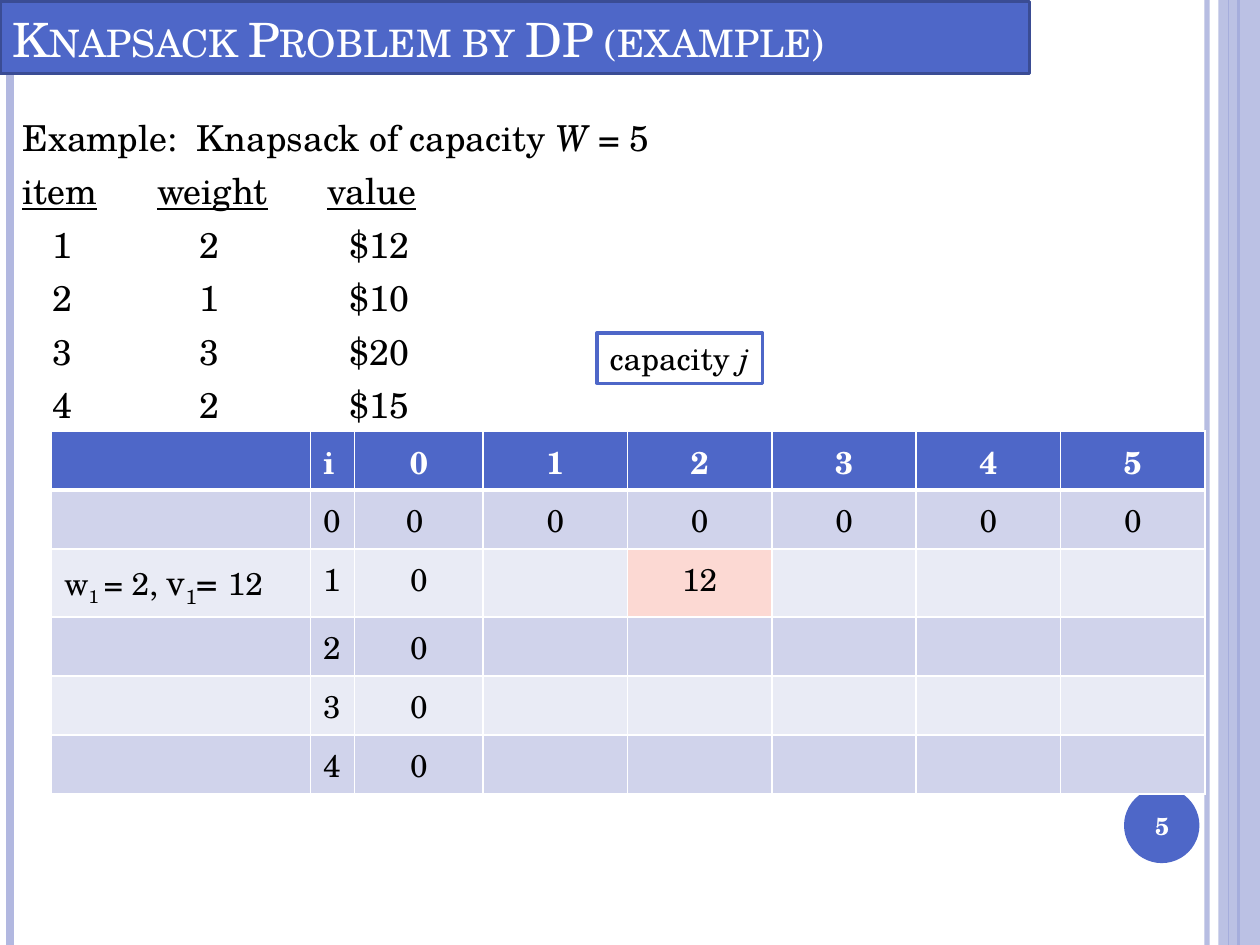
"""Build the knapsack dynamic programming example slide."""
from lxml.etree import SubElement
from pptx import Presentation
from pptx.dml.color import RGBColor
from pptx.enum.shapes import MSO_CONNECTOR, MSO_SHAPE
from pptx.enum.text import MSO_ANCHOR, MSO_AUTO_SIZE, PP_ALIGN
from pptx.oxml.ns import qn
from pptx.util import Cm, Pt

BLUE, PALE, WHITE, BLACK = "4E67C8", "B2B8E0", "FFFFFF", "000000"


def color(code):
    """Turn a hex string into a colour."""
    return RGBColor.from_string(code)


def style(run, size, code=BLACK, bold=False, italic=False):
    """Set the font of a run."""
    font = run.font
    font.name, font.size = "TeX Gyre Schola", Pt(size)
    font.bold, font.italic = bold, italic
    font.color.rgb = color(code)


deck = Presentation()
deck.slide_width, deck.slide_height = Cm(25.4), Cm(19.05)
slide = deck.slides.add_slide(deck.slide_layouts[5])
shapes = slide.shapes

bars = [(24.33, PALE, 3, 93), (0.2, PALE, 4.5, 100), (24.97, BLUE, 1.5, 100), (24.77, BLUE, 0.75, 100)]
for left, code, width, alpha in bars:
    bar = shapes.add_connector(MSO_CONNECTOR.STRAIGHT, Cm(left), 0, Cm(left), Cm(19.05))
    bar.line.color.rgb, bar.line.width = color(code), Pt(width)
    props = bar._element.spPr
    SubElement(props, qn("a:effectLst"))
    if alpha < 100:
        tint = props.find(".//" + qn("a:srgbClr"))
        SubElement(tint, qn("a:alpha"), val=str(alpha * 1000))

band = shapes.add_shape(MSO_SHAPE.RECTANGLE, Cm(24.56), 0, Cm(0.84), Cm(19.05))
disc = shapes.add_shape(MSO_SHAPE.OVAL, Cm(22.66), Cm(15.88), Cm(1.52), Cm(1.52))
for shape, code in [(band, PALE), (disc, BLUE)]:
    shape.shadow.inherit = False
    shape.fill.solid()
    shape.fill.fore_color.rgb = color(code)
    shape.line.fill.background()
tint = band._element.spPr.find(".//" + qn("a:srgbClr"))
SubElement(tint, qn("a:alpha"), val="87000")

body = shapes.add_textbox(Cm(0.2), Cm(2.21), Cm(18.85), Cm(5.72)).text_frame
body.word_wrap = True
first = body.paragraphs[0]
for text, slant in [("Example:  Knapsack of capacity ", False), ("W ", True), ("= 5", False)]:
    run = first.add_run()
    run.text = text
    style(run, 20.4, italic=slant)

items = ["item\tweight\tvalue\t", "\t1\t2\t$12", "\t2\t1\t$10", "\t3\t3\t$20", "\t4\t2\t$15"]
heads = [(2.72, "l"), (6.15, "l"), (10.54, "l")]
stops = [(0.8, "ctr"), (3.77, "ctr"), (6.6, "l")]
for row, text in enumerate(items):
    para = body.add_paragraph()
    tabs = SubElement(para._p.get_or_add_pPr(), qn("a:tabLst"))
    for place, side in stops if row else heads:
        SubElement(tabs, qn("a:tab"), pos=str(Cm(place)), algn=side)
    para.space_before = Pt(6)
    run = para.add_run()
    run.text = text
    style(run, 20.4)
    run.font.underline = row == 0

widths = [5.22, 0.89, 2.59] + [2.91] * 5
heights = [1.19, 1.19, 1.37, 1.19, 1.19, 1.19]
grid = [
    ["", "i", "0", "1", "2", "3", "4", "5"],
    ["", "0", "0 ", "0", "0", "0", "0", "0"],
    ["", "1", "0", "", "12", "", "", ""],
    ["", "2", "0", "", "", "", "", ""],
    ["", "3", "0", "", "", "", "", ""],
    ["", "4", "0", "", "", "", "", ""],
]
table = shapes.add_table(6, 8, Cm(1.04), Cm(8.69), Cm(sum(widths)), Cm(sum(heights))).table
for column, width in zip(table.columns, widths):
    column.width = Cm(width)
for row, texts in enumerate(grid):
    table.rows[row].height = Cm(heights[row])
    for col, text in enumerate(texts):
        cell = table.cell(row, col)
        props = cell._tc.get_or_add_tcPr()
        for side in ("L", "R", "T", "B"):
            thick = (row, side) in [(0, "B"), (1, "T")]
            edge = SubElement(props, qn("a:ln" + side), w=str(Pt(3 if thick else 1)))
            paint = SubElement(edge, qn("a:solidFill"))
            SubElement(paint, qn("a:srgbClr"), val=WHITE)
        cell.fill.solid()
        shade = BLUE if row == 0 else "D0D3EB" if row % 2 else "E9EBF5"
        cell.fill.fore_color.rgb = color("FCD9D3" if text == "12" else shade)
        para = cell.text_frame.paragraphs[0]
        para.font.size = Pt(18)
        if col > 1:
            para.alignment = PP_ALIGN.CENTER
        if text:
            run = para.add_run()
            run.text = text
            style(run, 18, BLACK if row else WHITE, bold=row == 0)

parts = [("w", 18, 0), ("1 ", 18, 1), ("= 2, ", 18, 0), ("v", 20, 0), ("1", 20, 1), ("= ", 20, 0), ("12", 18, 0)]
para = table.cell(2, 0).text_frame.paragraphs[0]
for text, size, sub in parts:
    run = para.add_run()
    run.text = text
    style(run, size)
    if sub:
        run.font._element.set("baseline", "-25000")

label = shapes.add_shape(MSO_SHAPE.RECTANGLE, Cm(12.04), Cm(6.71), Cm(3.33), Cm(1.02))
label.shadow.inherit = False
label.text_frame.word_wrap = False
label.text_frame.auto_size = MSO_AUTO_SIZE.SHAPE_TO_FIT_TEXT
para = label.text_frame.paragraphs[0]
para.alignment = PP_ALIGN.LEFT
for text, slant in [("capacity ", False), ("j", True)]:
    run = para.add_run()
    run.text = text
    style(run, 18, italic=slant)

page = shapes.add_textbox(Cm(22.58), Cm(15.93), Cm(1.7), Cm(1.45)).text_frame
page.word_wrap = True
page.vertical_anchor = MSO_ANCHOR.MIDDLE
page.text = "5"
page.paragraphs[0].alignment = PP_ALIGN.CENTER
style(page.paragraphs[0].runs[0], 14, WHITE, bold=True)

title = shapes.title
title.left, title.top, title.width, title.height = Cm(0), Cm(0.03), Cm(20.75), Cm(1.45)
shapes._spTree.append(title._element)
frame = title.text_frame
frame.text = "Knapsack Problem by DP (example)"
frame.auto_size = MSO_AUTO_SIZE.NONE
frame.vertical_anchor = MSO_ANCHOR.BOTTOM
frame.paragraphs[0].alignment = PP_ALIGN.LEFT
run = frame.paragraphs[0].runs[0]
style(run, 27, WHITE)
run.font._element.set("cap", "small")

for shape, fill, line in [(label, WHITE, BLUE), (title, BLUE, "3A4C94")]:
    shape.fill.solid()
    shape.fill.fore_color.rgb = color(fill)
    shape.line.color.rgb, shape.line.width = color(line), Pt(2)

deck.save("out.pptx")
